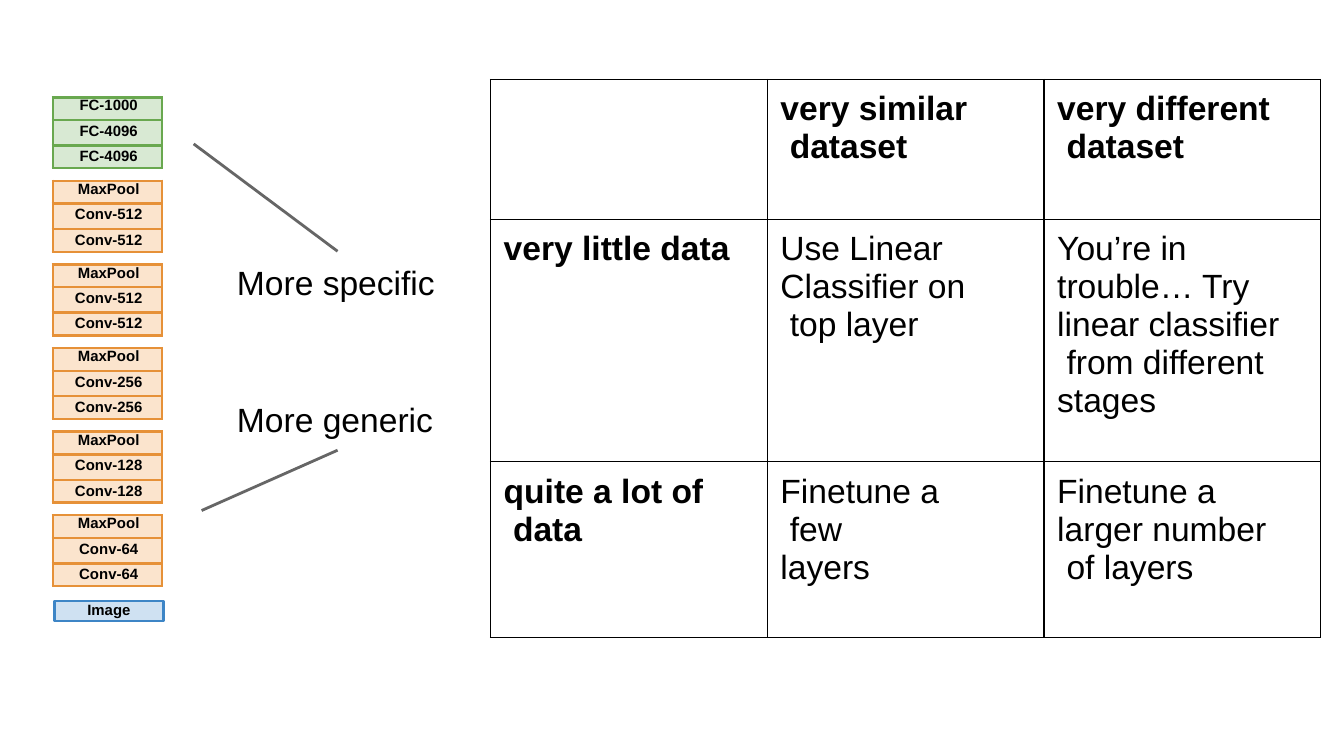
from dataclasses import dataclass
from pptx import Presentation
from pptx.dml.color import RGBColor as RGB
from pptx.enum.shapes import MSO_CONNECTOR as LINK, MSO_SHAPE as SHAPE
from pptx.enum.text import MSO_ANCHOR as ANCHOR, PP_ALIGN as ALIGN
from pptx.oxml.ns import qn
from pptx.util import Cm, Pt
from lxml.etree import SubElement


@dataclass(frozen=True)
class Theme:
    font: str = "Arial"
    small: int = 8
    large: int = 18
    ink: str = "000000"
    gray: str = "666666"
    green: tuple = ("D8E9D3", "69A84F")  # fill, line
    orange: tuple = ("FBE4CD", "E69138")
    blue: tuple = ("CFE1F2", "3D85C6")
    thick: float = 1.5
    thin: float = 0.75


T = Theme()

# Network layers from top to bottom
STACKS = [
    (T.green, ["FC-1000", "FC-4096", "FC-4096"]),
    (T.orange, ["MaxPool", "Conv-512", "Conv-512"]),
    (T.orange, ["MaxPool", "Conv-512", "Conv-512"]),
    (T.orange, ["MaxPool", "Conv-256", "Conv-256"]),
    (T.orange, ["MaxPool", "Conv-128", "Conv-128"]),
    (T.orange, ["MaxPool", "Conv-64", "Conv-64"]),
]
INPUT = "Image"
LABELS = ["More specific", "More generic"]
LINES = [(6.38, 4.75, 3.66, 2.72), (6.38, 8.51, 3.81, 9.65)]
ADVICE = [
    ["", "very similar\v dataset", "very different\v dataset"],
    ["very little data", "Use Linear\vClassifier on\v top layer",
     "You’re in\vtrouble… Try\vlinear classifier\v from different\vstages"],
    ["quite a lot of\v data", "Finetune a\v few\vlayers",
     "Finetune a\vlarger number\v of layers"],
]

# Layout in centimetres
LEFT, TOP, STEP, WIDE = 1.0, 1.84, 1.58, 2.06
LAYERS = [0.43, 0.48, 0.43]
GRID_X, GRID_Y, GRID_COL = 9.27, 1.5, 5.23
GRID_ROWS = [2.65, 4.58, 3.32]


def style(para, size, bold=False, before=0.0, align=ALIGN.LEFT):
    para.alignment, para.space_before = align, Pt(before)
    font = para.font
    font.name, font.size, font.bold = T.font, Pt(size), bold
    font.color.rgb = RGB.from_string(T.ink)


def pad(box, left=0.0, top=0.0):
    """Set the inner margins of a cell or text frame."""
    box.margin_left, box.margin_top = Cm(left), Cm(top)
    box.margin_right = box.margin_bottom = 0


def border(cell, color, width):
    props = cell._tc.get_or_add_tcPr()
    for side in ("a:lnL", "a:lnR", "a:lnT", "a:lnB"):
        line = SubElement(props, qn(side), w=str(Pt(width)))
        fill = SubElement(line, qn("a:solidFill"))
        SubElement(fill, qn("a:srgbClr"), val=color)


def add_grid(slide, x, y, cols, rows):
    """Add an unstyled table with the given column widths and row heights."""
    table = slide.shapes.add_table(len(rows), len(cols), Cm(x), Cm(y),
                                   Cm(sum(cols)), Cm(sum(rows))).table
    table.first_row = table.horz_banding = False
    for col, width in zip(table.columns, cols):
        col.width = Cm(width)
    for row, height in zip(table.rows, rows):
        row.height = Cm(height)
    return table


def add_stack(slide, y, colors, names):
    fill, line = colors
    table = add_grid(slide, LEFT, y, [WIDE], LAYERS)
    for i, name in enumerate(names):
        cell = table.cell(i, 0)
        border(cell, line, T.thick)
        cell.fill.solid()
        cell.fill.fore_color.rgb = RGB.from_string(fill)
        pad(cell, 0.05, 0.05 if i else 0)
        cell.text = name
        style(cell.text_frame.paragraphs[0], T.small, True,
              1.6 if i else 0.2, ALIGN.CENTER)


def add_input(slide):
    fill, line = T.blue
    box = slide.shapes.add_shape(SHAPE.RECTANGLE, Cm(1.03), Cm(11.36),
                                 Cm(WIDE), Cm(0.38))
    box.shadow.inherit = False
    box.fill.solid()
    box.fill.fore_color.rgb = RGB.from_string(fill)
    box.line.color.rgb = RGB.from_string(line)
    box.line.width = Pt(T.thick)
    frame = box.text_frame
    pad(frame)
    frame.vertical_anchor = ANCHOR.TOP
    frame.text = INPUT
    style(frame.paragraphs[0], T.small, True, 0.2, ALIGN.CENTER)


def add_labels(slide):
    box = slide.shapes.add_textbox(Cm(4.45), Cm(4.93), Cm(3.9), Cm(3.3))
    frame = box.text_frame
    frame.word_wrap = True
    pad(frame, 0.03, 0.03)
    frame.text = "\n".join(LABELS)
    for para, before in zip(frame.paragraphs, (1, 51.6)):
        style(para, T.large, before=before)
    for ends in LINES:
        line = slide.shapes.add_connector(LINK.STRAIGHT, *map(Cm, ends))
        line.line.color.rgb = RGB.from_string(T.gray)
        line.line.width = Pt(T.thick)
        SubElement(line._element.spPr, qn("a:effectLst"))


def add_advice(slide):
    table = add_grid(slide, GRID_X, GRID_Y, [GRID_COL] * 3, GRID_ROWS)
    for r, row in enumerate(ADVICE):
        for c, text in enumerate(row):
            cell = table.cell(r, c)
            border(cell, T.ink, T.thin)
            cell.fill.background()
            pad(cell, 0.25, 0.2)
            cell.text = text
            para = cell.text_frame.paragraphs[0]
            style(para, T.large, r == 0 or c == 0, 5.8)
            para.line_spacing = 1.01


def main():
    deck = Presentation()
    deck.slide_width, deck.slide_height = Cm(25.4), Cm(14.29)
    slide = deck.slides.add_slide(deck.slide_layouts[6])
    for i, (colors, names) in enumerate(STACKS):
        add_stack(slide, TOP + i * STEP, colors, names)
    add_input(slide)
    add_labels(slide)
    add_advice(slide)
    deck.save("out.pptx")


if __name__ == "__main__":
    main()
